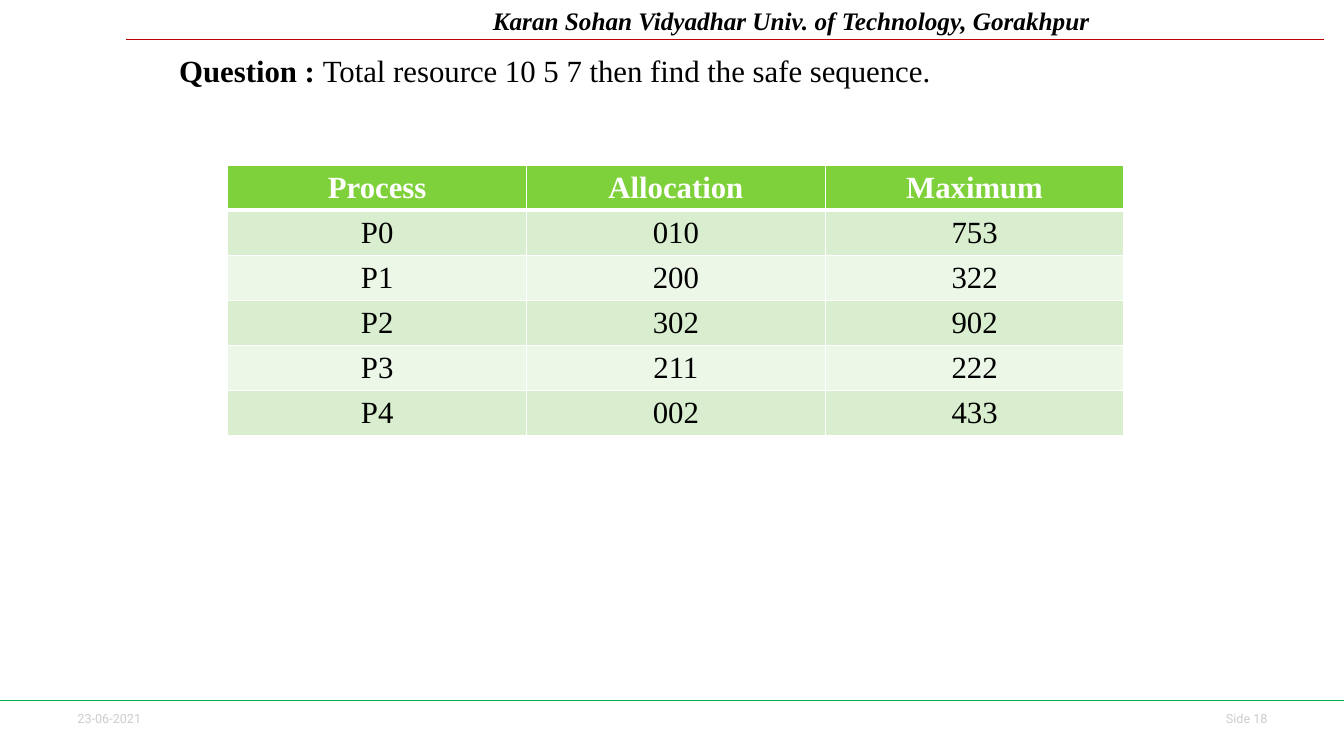
from dataclasses import dataclass

from lxml import etree
from pptx import Presentation
from pptx.dml.color import RGBColor
from pptx.enum.shapes import MSO_CONNECTOR
from pptx.enum.text import MSO_ANCHOR, PP_ALIGN
from pptx.oxml.ns import qn
from pptx.slide import Slide
from pptx.text.text import _Paragraph
from pptx.util import Emu, Inches, Pt

LEFT, RIGHT = PP_ALIGN.LEFT, PP_ALIGN.RIGHT
CENTER, JUSTIFY = PP_ALIGN.CENTER, PP_ALIGN.JUSTIFY
MIDDLE = MSO_ANCHOR.MIDDLE
STRAIGHT = MSO_CONNECTOR.STRAIGHT

# The slide is a grid of 100 columns by 100 rows.
WIDE, HIGH = Inches(13.33), Inches(7.5)
SERIF, SANS = "Times New Roman", "Roboto"
HUES = {
    "black": "000000", "white": "FFFFFF", "gray": "CCCCCC",
    "red": "C00000", "green": "00B050",
    "head": "7FD13B", "odd": "D8EECE", "even": "ECF7E8",
}


@dataclass(frozen=True)
class Run:
    text: str
    size: int = 22
    font: str = SERIF
    hue: str = "black"
    bold: bool = False
    slant: bool = False


@dataclass(frozen=True)
class Label:
    col: float
    row: float
    cols: float
    rows: float
    runs: tuple[Run, ...]
    align: PP_ALIGN = LEFT


@dataclass(frozen=True)
class Rule:
    start: float
    end: float
    row: float
    hue: str


LABELS = (
    Label(5.03, 93.33, 10.35, 3.33, (Run("23-06-2021", 9, SANS, "gray"),)),
    Label(86.72, 93.33, 8.33, 3.33, (Run("Side 18", 9, SANS, "gray"),), RIGHT),
    Label(35.93, 0, 64.07, 5.33,
          (Run("Karan Sohan Vidyadhar Univ. of Technology, Gorakhpur", 18,
               bold=True, slant=True),)),
    Label(12.6, 6.13, 74.34, 84.4,
          (Run("Question : ", bold=True),
           Run("Total resource 10 5 7 then find the safe sequence.")), JUSTIFY),
)
RULES = (Rule(9.38, 98.5, 5.2, "red"), Rule(0, 100, 92.67, "green"))
DATA = (
    ("Process", "Allocation", "Maximum"),
    ("P0", "010", "753"),
    ("P1", "200", "322"),
    ("P2", "302", "902"),
    ("P3", "211", "222"),
    ("P4", "002", "433"),
)


def across(cols: float) -> Emu:
    return Emu(round(WIDE * cols / 100))


def down(rows: float) -> Emu:
    return Emu(round(HIGH * rows / 100))


def color(name: str) -> RGBColor:
    return RGBColor.from_string(HUES[name])


def write(para: _Paragraph, runs: tuple[Run, ...], align: PP_ALIGN) -> None:
    para.alignment = align
    for item in runs:
        run = para.add_run()
        run.text = item.text
        font = run.font
        font.name, font.size = item.font, Pt(item.size)
        font.bold, font.italic = item.bold, item.slant
        font.color.rgb = color(item.hue)


def add_label(slide: Slide, label: Label) -> None:
    box = slide.shapes.add_textbox(across(label.col), down(label.row),
                                   across(label.cols), down(label.rows))
    box.text_frame.word_wrap = True
    write(box.text_frame.paragraphs[0], label.runs, label.align)


def add_rule(slide: Slide, rule: Rule) -> None:
    line = slide.shapes.add_connector(STRAIGHT, across(rule.start), down(rule.row),
                                      across(rule.end), down(rule.row))
    line.line.color.rgb = color(rule.hue)
    line.line.width = Pt(0.75)
    etree.SubElement(line._element.spPr, qn("a:effectLst"))


def edge(cell, base: int, top: int) -> None:
    """Draw white cell borders, with base and top widths in points."""
    props = cell._tc.get_or_add_tcPr()
    sides = (("lnL", 1), ("lnR", 1), ("lnT", top), ("lnB", base))
    for spot, (tag, width) in enumerate(sides):
        line = etree.Element(qn(f"a:{tag}"), w=str(Pt(width)))
        fill = etree.SubElement(line, qn("a:solidFill"))
        etree.SubElement(fill, qn("a:srgbClr"), val=HUES["white"])
        props.insert(spot, line)


def add_grid(slide: Slide) -> None:
    rows, cols = len(DATA), len(DATA[0])
    table = slide.shapes.add_table(rows, cols, across(16.95), down(21.87),
                                   across(66.68), down(5.83 * rows)).table
    for r, texts in enumerate(DATA):
        head = r == 0
        shade = "head" if head else "odd" if r % 2 else "even"
        for c, text in enumerate(texts):
            cell = table.cell(r, c)
            cell.margin_top = cell.margin_bottom = Inches(0.04)
            cell.vertical_anchor = MIDDLE
            cell.fill.solid()
            cell.fill.fore_color.rgb = color(shade)
            edge(cell, 3 if head else 1, 3 if r == 1 else 1)
            run = Run(text, hue="white" if head else "black", bold=head)
            write(cell.text_frame.paragraphs[0], (run,), CENTER)


def main() -> None:
    deck = Presentation()
    deck.slide_width, deck.slide_height = WIDE, HIGH
    slide = deck.slides.add_slide(deck.slide_layouts[6])
    for rule in RULES:
        add_rule(slide, rule)
    for label in LABELS:
        add_label(slide, label)
    add_grid(slide)
    deck.save("out.pptx")


if __name__ == "__main__":
    main()
